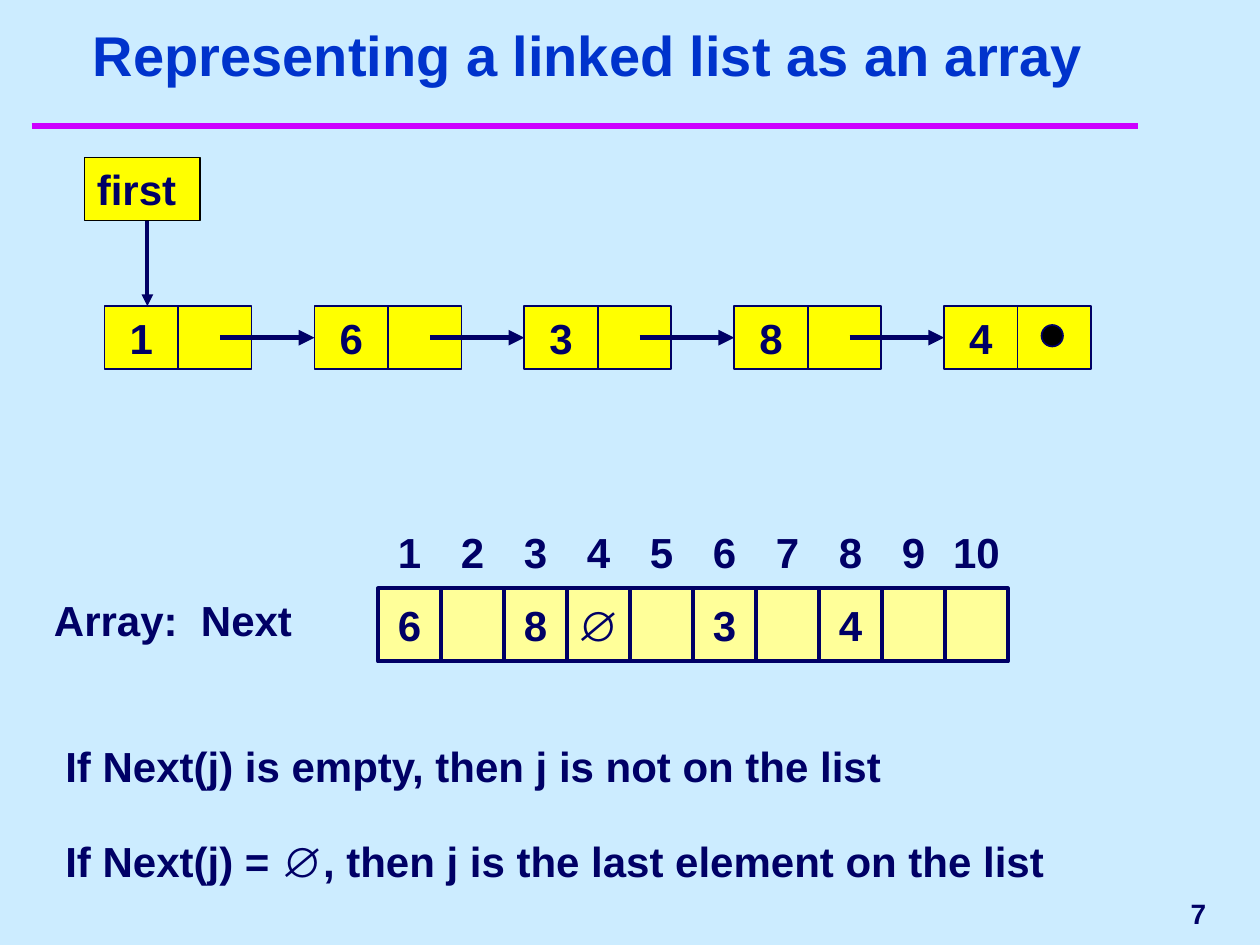
from lxml import etree
from pptx import Presentation
from pptx.dml.color import RGBColor
from pptx.enum.shapes import MSO_CONNECTOR, MSO_SHAPE
from pptx.enum.text import MSO_ANCHOR, MSO_AUTO_SIZE, PP_ALIGN
from pptx.oxml.ns import qn
from pptx.util import Inches, Pt

RECT, OVAL = MSO_SHAPE.RECTANGLE, MSO_SHAPE.OVAL
STRAIGHT = MSO_CONNECTOR.STRAIGHT
TOP, MIDDLE, BOTTOM = MSO_ANCHOR.TOP, MSO_ANCHOR.MIDDLE, MSO_ANCHOR.BOTTOM
LEFT, CENTER, RIGHT = PP_ALIGN.LEFT, PP_ALIGN.CENTER, PP_ALIGN.RIGHT
NO_FIT = MSO_AUTO_SIZE.NONE

COLORS = {
    "background": "CCECFF",
    "title": "0033CC",
    "rule": "CC00FF",
    "ink": "000066",
    "node": "FFFF00",
    "cell": "FFFF99",
    "black": "000000",
}


def rgb(name):
    return RGBColor.from_string(COLORS[name])


def write(sp, text, size=24, color="ink", align=CENTER, anchor=MIDDLE, wrap=False):
    tf = sp.text_frame
    frame = {"auto_size": NO_FIT, "word_wrap": wrap, "vertical_anchor": anchor}
    for name, value in frame.items():
        setattr(tf, name, value)
    p = tf.paragraphs[0]
    p.alignment = align
    r = p.add_run()
    r.text = text
    font = {"name": "Arial", "size": Pt(size), "bold": True}
    for name, value in font.items():
        setattr(r.font, name, value)
    r.font.color.rgb = rgb(color)


def add_text(shapes, box, text, **style):
    sp = shapes.add_textbox(*map(Inches, box))
    write(sp, text, **style)


def add_box(shapes, box, fill, width=1, line="ink", kind=RECT):
    sp = shapes.add_shape(kind, *map(Inches, box))
    sp.shadow.inherit = False
    sp.fill.solid()
    sp.fill.fore_color.rgb = rgb(fill)
    sp.line.color.rgb = rgb(line)
    sp.line.width = Pt(width)
    return sp


def add_line(shapes, start, end, width, color="ink", arrow=True):
    line = shapes.add_connector(STRAIGHT, *map(Inches, start + end))
    line.line.color.rgb = rgb(color)
    line.line.width = Pt(width)
    if arrow:
        ln = line.line._get_or_add_ln()
        etree.SubElement(ln, qn("a:tailEnd"), type="triangle")
    etree.SubElement(line._element.spPr, qn("a:effectLst"))


def add_heading(s, box, text):
    title = s.shapes.title
    place = dict(zip(("left", "top", "width", "height"), map(Inches, box)))
    for name, value in place.items():
        setattr(title, name, value)
    write(title, text, size=32, color="title", anchor=BOTTOM, wrap=True)
    add_line(s.shapes, (0.25, 1), (9.03, 1), 4, "rule", arrow=False)


def add_linked_list(s, box, values):
    left, top, width, height = box
    shapes = s.shapes.add_group_shape().shapes
    half, node_height = 7 / 12, 0.5
    pitch = (width - 2 * half) / (len(values) - 1)
    node_top = top + height - node_height
    middle = node_top + node_height / 2
    for i, value in enumerate(values):
        x = left + i * pitch
        sp = add_box(shapes, (x, node_top, half, node_height), "node")
        write(sp, value)
        add_box(shapes, (x + half, node_top, half, node_height), "node")
        if i < len(values) - 1:
            add_line(shapes, (x + pitch - 0.75, middle), (x + pitch, middle), 3)
        else:
            dot = (x + half + 0.19, middle - 0.1, 0.17, 0.17)
            add_box(shapes, dot, "black", kind=OVAL)
    first = add_box(shapes, (left - 0.16, top, 0.92, 0.5), "node", line="black")
    write(first, "first", align=LEFT, anchor=TOP, wrap=True)
    add_line(shapes, (left + 0.34, top + 0.5), (left + 0.34, node_top), 2.25)


def add_array(s, box, label, cells, count):
    left, top, width, height = box
    shapes = s.shapes.add_group_shape().shapes
    cell_width, row_height = width / count, height / 2
    for i in range(count):
        x = left + i * cell_width
        add_text(shapes, (x, top, cell_width, row_height), str(i + 1))
        cell_box = (x, top + row_height, cell_width, row_height)
        sp = add_box(shapes, cell_box, "cell", width=2.25)
        if i + 1 in cells:
            write(sp, cells[i + 1])
    add_text(s.shapes, (0.33, top + row_height, 2.25, 0.5), label,
             align=LEFT, anchor=TOP, wrap=True)


def add_notes_on_list(s, box, lines):
    left, top, width, height = box
    step = height / len(lines)
    for i, text in enumerate(lines):
        add_text(s.shapes, (left, top + i * step, width, 0.5), text,
                 align=LEFT, anchor=TOP, wrap=True)


def main():
    prs = Presentation()
    prs.slide_width, prs.slide_height = Inches(10), Inches(7.5)
    s = prs.slides.add_slide(prs.slide_layouts[5])
    s.background.fill.solid()
    s.background.fill.fore_color.rgb = rgb("background")

    add_heading(s, (0.42, 0.33, 8.5, 0.42), "Representing a linked list as an array")
    add_linked_list(s, (0.83, 1.25, 7.83, 1.68), ["1", "6", "3", "8", "4"])
    add_array(s, (3, 4.09, 5, 1.16), "Array:  Next",
              {1: "6", 3: "8", 4: "∅", 6: "3", 8: "4"}, 10)
    add_notes_on_list(s, (0.42, 5.83, 8.58, 1.5), [
        "If Next(j) is empty, then j is not on the list",
        "If Next(j) = ∅, then j is the last element on the list",
    ])
    add_text(s.shapes, (7.75, 7, 1.92, 0.5), "7", size=16, align=RIGHT)
    prs.save("out.pptx")


if __name__ == "__main__":
    main()
